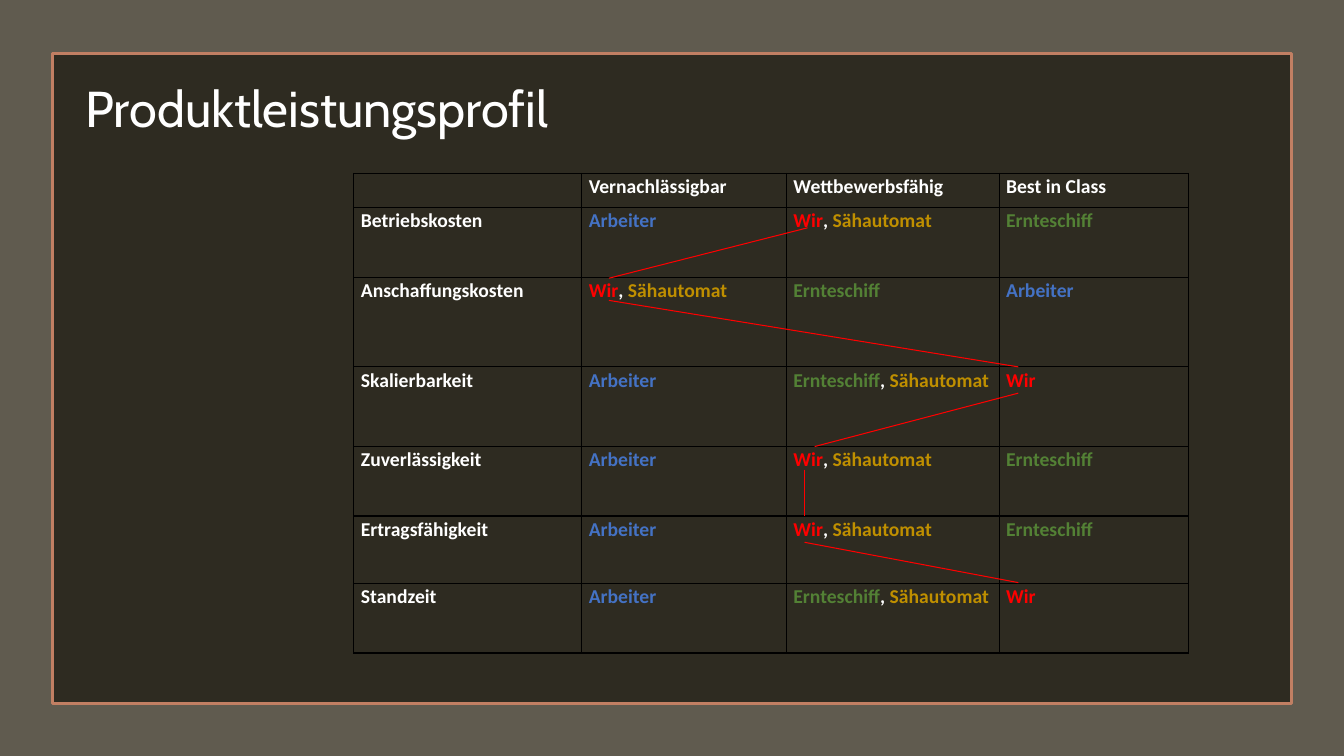
from lxml.etree import SubElement
from pptx import Presentation
from pptx.dml.color import RGBColor
from pptx.enum.shapes import MSO_CONNECTOR, MSO_SHAPE
from pptx.enum.text import MSO_AUTO_SIZE
from pptx.oxml.ns import qn
from pptx.util import Inches, Pt

COLORS = {
    "frame": "605B4F", "panel": "2E2B21", "accent": "C17F63",
    "text": "FFFFFF", "border": "000000", "profile": "FF0000",
}
PRODUCT_COLORS = {
    "Wir": "FF0000", "Arbeiter": "4472C4",
    "Sähautomat": "BF8F00", "Ernteschiff": "538135",
}
TITLE = "Produktleistungsprofil"
ROWS = [
    ("", "Vernachlässigbar", "Wettbewerbsfähig", "Best in Class"),
    ("Betriebskosten", "Arbeiter", "Wir, Sähautomat", "Ernteschiff"),
    ("Anschaffungskosten", "Wir, Sähautomat", "Ernteschiff", "Arbeiter"),
    ("Skalierbarkeit", "Arbeiter", "Ernteschiff, Sähautomat", "Wir"),
    ("Zuverlässigkeit", "Arbeiter", "Wir, Sähautomat", "Ernteschiff"),
    ("Ertragsfähigkeit", "Arbeiter", "Wir, Sähautomat", "Ernteschiff"),
    ("Standzeit", "Arbeiter", "Ernteschiff, Sähautomat", "Wir"),
]
COLUMN_WIDTHS = [2.26, 2.03, 2.11, 1.88]
ROW_HEIGHTS = [0.34, 0.69, 0.89, 0.79, 0.69, 0.67, 0.69]
PROFILE_LINES = [
    (6.04, 2.76, 8.01, 2.26),
    (6.04, 2.98, 10.1, 3.64),
    (8.08, 4.43, 10.1, 3.9),
    (7.98, 4.66, 7.98, 5.12),
    (7.98, 5.38, 10.1, 5.78),
]


def color(value):
    return RGBColor.from_string(value)


def add_run(paragraph, text, font_name, size, value, bold=False):
    run = paragraph.add_run()
    run.text = text
    run.font.name = font_name
    run.font.size = Pt(size)
    run.font.bold = bold
    run.font.color.rgb = color(value)


def add_rectangle(slide, box, fill, line=None):
    shape = slide.shapes.add_shape(MSO_SHAPE.RECTANGLE, *map(Inches, box))
    shape.shadow.inherit = False
    shape.fill.solid()
    shape.fill.fore_color.rgb = color(fill)
    if line:
        shape.line.color.rgb = color(line)
        shape.line.width = Pt(1.75)
    else:
        shape.line.fill.background()


def add_borders(cell):
    properties = cell._tc.get_or_add_tcPr()
    for index, side in enumerate(("lnL", "lnR", "lnT", "lnB")):
        border = properties.makeelement(qn(f"a:{side}"), {"w": str(Pt(1))})
        fill = SubElement(border, qn("a:solidFill"))
        SubElement(fill, qn("a:srgbClr"), val=COLORS["border"])
        properties.insert(index, border)


def fill_cell(cell, text):
    cell.margin_left = cell.margin_right = Inches(0.07)
    cell.margin_top = cell.margin_bottom = 0
    cell.fill.solid()
    cell.fill.fore_color.rgb = color(COLORS["panel"])
    add_borders(cell)
    paragraph = cell.text_frame.paragraphs[0]
    paragraph.line_spacing = 1.07
    paragraph.space_after = Pt(8)
    if not text:
        paragraph.font.size = Pt(14)
        return
    for index, part in enumerate(text.split(", ")):
        if index:
            add_run(paragraph, ", ", "Calibri", 14, COLORS["text"], True)
        value = PRODUCT_COLORS.get(part, COLORS["text"])
        add_run(paragraph, part, "Calibri", 14, value, True)


def add_profile_table(slide):
    size = (sum(COLUMN_WIDTHS), sum(ROW_HEIGHTS))
    frame = slide.shapes.add_table(
        len(ROWS), len(COLUMN_WIDTHS), *map(Inches, (3.51, 1.72, *size)))
    table = frame.table
    table.first_row = table.horz_banding = False
    for column, width in zip(table.columns, COLUMN_WIDTHS):
        column.width = Inches(width)
    for row, height, texts in zip(table.rows, ROW_HEIGHTS, ROWS):
        row.height = Inches(height)
        for cell, text in zip(row.cells, texts):
            fill_cell(cell, text)


def add_title(slide):
    box = slide.shapes.add_textbox(*map(Inches, (0.75, 0.72, 6.67, 0.71)))
    box.text_frame.word_wrap = True
    box.text_frame.auto_size = MSO_AUTO_SIZE.SHAPE_TO_FIT_TEXT
    add_run(box.text_frame.paragraphs[0], TITLE, "Cabin", 36, COLORS["text"])


def add_profile_line(slide, points):
    connector = slide.shapes.add_connector(
        MSO_CONNECTOR.STRAIGHT, *map(Inches, points))
    connector.line.color.rgb = color(COLORS["profile"])
    connector.line.width = Pt(0.75)
    SubElement(connector._element.spPr, qn("a:effectLst"))


def main():
    presentation = Presentation()
    presentation.slide_width = Inches(13.33)
    presentation.slide_height = Inches(7.5)
    slide = presentation.slides.add_slide(presentation.slide_layouts[6])
    slide.background.fill.solid()
    slide.background.fill.fore_color.rgb = color(COLORS["panel"])
    add_rectangle(slide, (0, 0, 13.33, 7.5), COLORS["frame"])
    add_rectangle(slide, (0.52, 0.53, 12.29, 6.45), COLORS["panel"], COLORS["accent"])
    add_profile_table(slide)
    add_title(slide)
    for points in PROFILE_LINES:
        add_profile_line(slide, points)
    presentation.save("out.pptx")


if __name__ == "__main__":
    main()
